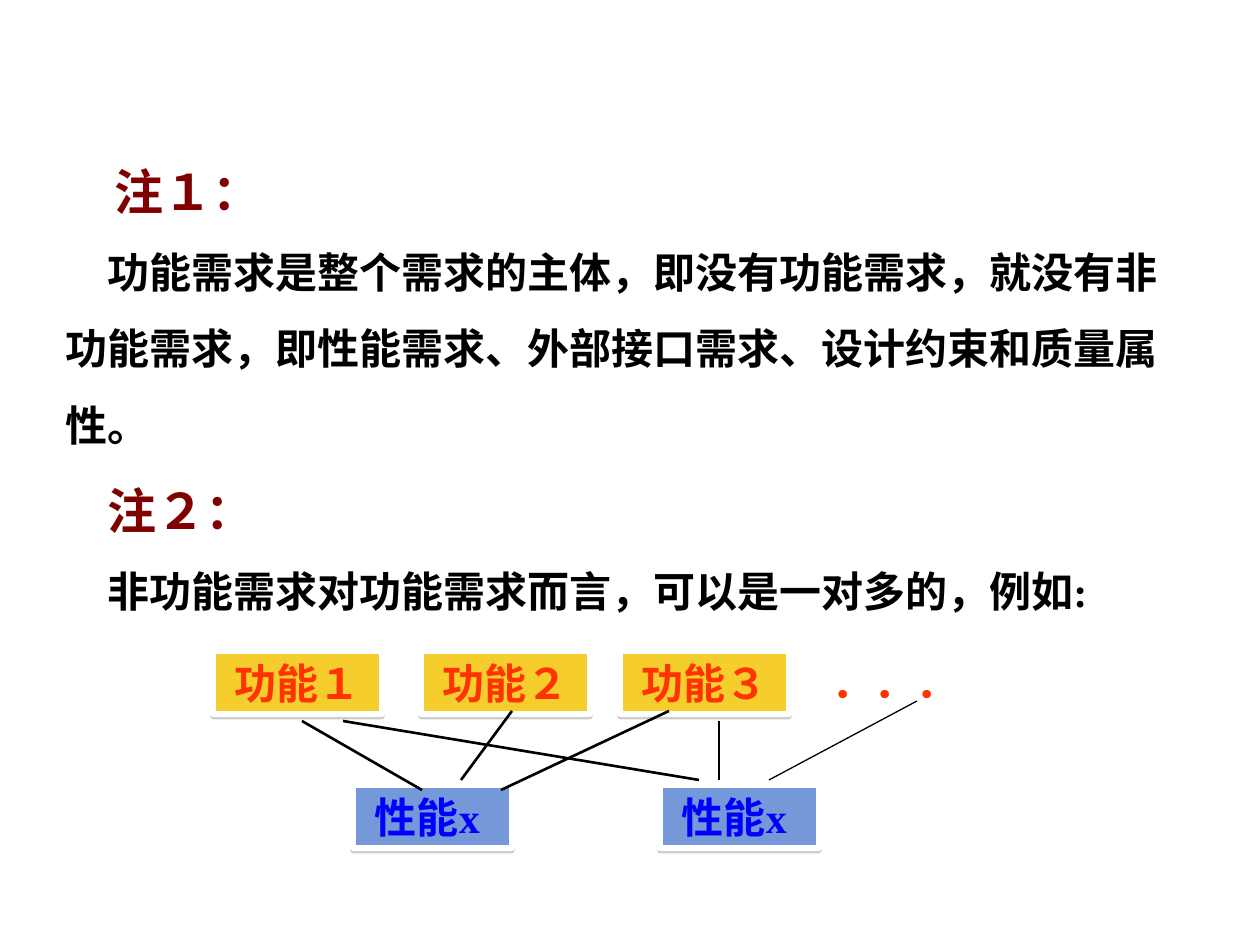
from lxml.etree import SubElement
from pptx import Presentation
from pptx.dml.color import RGBColor
from pptx.enum.shapes import MSO_CONNECTOR, MSO_SHAPE
from pptx.enum.text import MSO_ANCHOR, PP_ALIGN
from pptx.oxml.ns import qn
from pptx.util import Pt

SCALE = 914400 / 126
BLACK = RGBColor(0, 0, 0)
WHITE = RGBColor(255, 255, 255)
MAROON = RGBColor(0x80, 0, 0)
RED = RGBColor(0xFF, 0x33, 0)
BLUE = RGBColor(0, 0, 0xFF)
GOLD = RGBColor(0xF5, 0xCD, 0x2D)
STEEL = RGBColor(0x75, 0x98, 0xD9)
SANS = "Noto Sans CJK SC"
SERIF = "Times New Roman"


def px(num):
    """Turn pixels into EMU."""
    return round(num * SCALE)


def add_run(para, text, size, color, font):
    """Add one bold run to a paragraph."""
    run = para.add_run()
    run.text = text
    run.font.size = Pt(size)
    run.font.bold = True
    run.font.name = font
    run.font.color.rgb = color


def add_shade(shape):
    """Give a shape a soft grey shadow straight below it."""
    shape.shadow.inherit = False
    effects = shape._element.spPr.find(qn("a:effectLst"))
    shade = SubElement(effects, qn("a:outerShdw"), blurRad="0",
                       dist=str(Pt(1.6)), dir="5400000", rotWithShape="0")
    color = SubElement(shade, qn("a:srgbClr"), val="808080")
    SubElement(color, qn("a:alpha"), val="38000")


def add_label(slide, box, text, color, fill=None):
    """Place a label, framed and shaded when it has a fill."""
    place = [px(num) for num in box]
    if fill is None:
        shape = slide.shapes.add_textbox(*place)
    else:
        shape = slide.shapes.add_shape(MSO_SHAPE.RECTANGLE, *place)
        shape.fill.solid()
        shape.fill.fore_color.rgb = fill
        shape.line.color.rgb = WHITE
        shape.line.width = Pt(3)
        add_shade(shape)
    frame = shape.text_frame
    frame.word_wrap = False
    frame.vertical_anchor = MSO_ANCHOR.TOP
    para = frame.paragraphs[0]
    para.alignment = PP_ALIGN.LEFT
    if fill is not None:
        add_run(para, " ", 24, BLACK, SERIF)
    add_run(para, text, 24, color, SERIF)


def add_link(slide, start, end, width):
    """Draw a plain black line between two points."""
    link = slide.shapes.add_connector(
        MSO_CONNECTOR.STRAIGHT, *[px(num) for num in start + end])
    link.line.color.rgb = BLACK
    link.line.width = Pt(width)
    SubElement(link._element.spPr, qn("a:effectLst"))


def add_notes(slide, box):
    """Write the two notes, each a heading and its lines."""
    head, body = (28, MAROON, SANS), (24, BLACK, SANS)
    lines = [
        [("\u3000注１：".replace("\u3000", "　"), *head)],
        [("　功能需求是整个需求的主体，即没有功能需求，就没有非", *body)],
        [("功能需求，即性能需求、外部接口需求、设计约束和质量属", *body)],
        [("性。", *body)],
        [("　", 24, MAROON, SANS), ("注２：", *head)],
        [("　非功能", *body),
         ("需求对功能需求而言，可以是一对多的，例如:", 24, BLACK, SERIF)],
    ]
    frame = slide.shapes.add_textbox(*[px(num) for num in box]).text_frame
    frame.word_wrap = True
    for row, runs in enumerate(lines):
        para = frame.add_paragraph() if row else frame.paragraphs[0]
        para.alignment = PP_ALIGN.JUSTIFY
        if row:
            para.space_before = Pt(runs[-1][1] * 0.625 if row == 4 else 15)
        for run in runs:
            add_run(para, *run)


def add_map(slide, box):
    """Link the functions on top to the performance needs below."""
    left, top, width, high = box
    tall = 63
    low = top + high - tall
    for off in (140, 447):
        add_label(slide, (left + off, low, 159, tall), "性能x", BLUE, STEEL)
    tops = [(0, "功能１", GOLD), (208, "功能２", GOLD),
            (407, "功能３", GOLD), (606, "．．．", None)]
    for off, text, fill in tops:
        add_label(slide, (left + off, top, 169, tall), text, RED, fill)
    links = [((89, 70), (209, 139), 1.5), ((299, 60), (248, 129), 1.5),
             ((456, 60), (288, 139), 1.5), ((486, 129), (130, 70), 1.5),
             ((506, 70), (506, 129), 0.75), ((556, 129), (704, 50), 0.75)]
    for start, end, weight in links:
        add_link(slide, (left + start[0], top + start[1]),
                 (left + end[0], top + end[1]), weight)


def main():
    """Build the slide and save it."""
    deck = Presentation()
    deck.slide_width, deck.slide_height = px(1260), px(945)
    slide = deck.slides.add_slide(deck.slide_layouts[6])
    add_notes(slide, (53, 155, 1155, 698))
    add_map(slide, (213, 651, 775, 197))
    deck.save("out.pptx")


if __name__ == "__main__":
    main()
